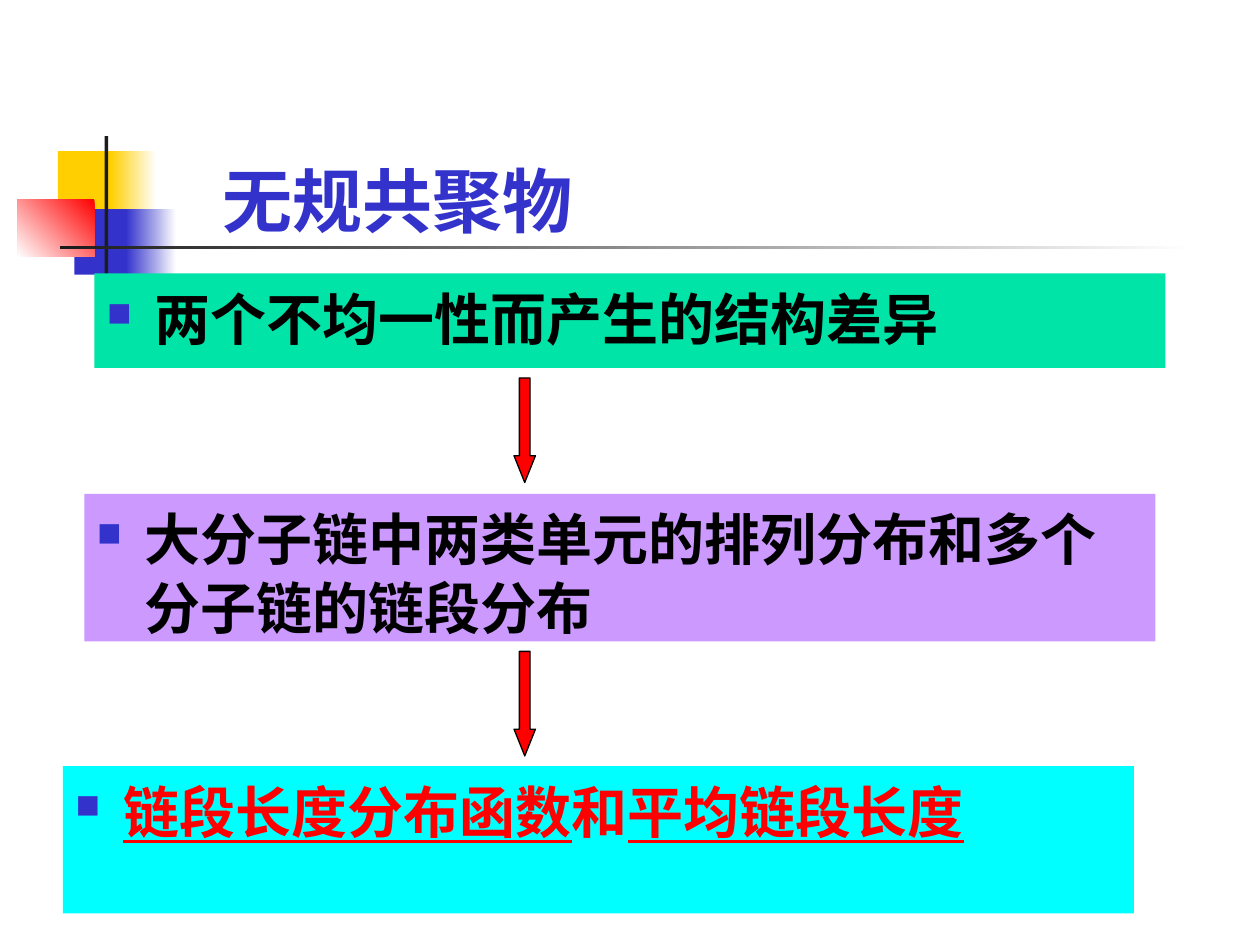
"""Build the slide on random copolymers: three statements linked by arrows."""
from lxml import etree
from pptx import Presentation
from pptx.dml.color import RGBColor
from pptx.enum import shapes, text
from pptx.oxml import ns
from pptx.util import Inches, Pt

WHITE = RGBColor(0xFF, 0xFF, 0xFF)
BLACK = RGBColor(0x00, 0x00, 0x00)
CHARCOAL = RGBColor(0x1C, 0x1C, 0x1C)
YELLOW = RGBColor(0xFF, 0xCF, 0x01)
BLUE = RGBColor(0x33, 0x33, 0xCC)
RED = RGBColor(0xFF, 0x00, 0x00)
GREEN = RGBColor(0x00, 0xE4, 0xA8)
PURPLE = RGBColor(0xCC, 0x99, 0xFF)
CYAN = RGBColor(0x00, 0xFF, 0xFF)
CJK_FONT = "Noto Sans CJK SC"

presentation = Presentation()
presentation.slide_width = Inches(10)
presentation.slide_height = Inches(7.5)
slide = presentation.slides.add_slide(presentation.slide_layouts[6])


def add_block(kind, box, colors, angle=180):
    shape = slide.shapes.add_shape(kind, *map(Inches, box))
    shape.shadow.inherit = False
    shape.line.fill.background()
    if len(colors) == 1:
        shape.fill.solid()
        shape.fill.fore_color.rgb = colors[0]
    else:
        shape.fill.gradient()
        shape.fill.gradient_angle = angle
        for stop, color in zip(shape.fill.gradient_stops, colors):
            stop.color.rgb = color
    return shape


def add_run(paragraph, content, formats):
    run = paragraph.add_run()
    run.text = content
    for name, value in formats.items():
        setattr(run.font, name, value)
    run.font.color.rgb = formats_color[paragraph_kind]
    etree.SubElement(run.font._element, ns.qn("a:ea"), typeface=CJK_FONT)


formats_color = {"title": BLUE, "statement": BLACK, "result": RED}
RECTANGLE = shapes.MSO_SHAPE.RECTANGLE
decorations = [
    ((0.46, 1.2, 0.48, 0.52), [YELLOW], 0),
    ((0.88, 1.2, 0.36, 0.52), [WHITE, YELLOW], 180),
    ((0.59, 1.66, 0.46, 0.52), [BLUE], 0),
    ((1, 1.66, 0.4, 0.52), [WHITE, BLUE], 180),
    ((0.14, 1.58, 0.61, 0.46), [RED, WHITE], 225),
    ((0.83, 1.08, 0.03, 1.15), [CHARCOAL], 0),
    ((0.48, 1.95, 9, 0.03), [WHITE, CHARCOAL], 180),
]
for box, colors, angle in decorations:
    add_block(RECTANGLE, box, colors, angle)

title = slide.shapes.add_textbox(*map(Inches, (1.67, 0.67, 5.08, 1.25)))
title.text_frame.word_wrap = True
title.text_frame.vertical_anchor = text.MSO_ANCHOR.BOTTOM
title.text_frame.margin_bottom = 0
paragraph_kind = "title"
add_run(title.text_frame.paragraphs[0], "无规共聚物",
        {"size": Pt(40), "name": "Times New Roman", "bold": True})

statements = [
    ((0.75, 2.17, 8.5, 0.75), GREEN, "statement", "Karla",
     [("两个不均一性而产生的结构差异", False)]),
    ((0.67, 3.92, 8.5, 1.17), PURPLE, "statement", "Karla",
     [("大分子链中两类单元的排列分布和多个分子链的链段分布", False)]),
    ((0.5, 6.08, 8.5, 1.17), CYAN, "result", CJK_FONT,
     [("链段长度分布函数", True), ("和", False), ("平均链段长度", True)]),
]
for box, color, paragraph_kind, font_name, runs in statements:
    frame = add_block(RECTANGLE, box, [color]).text_frame
    frame.word_wrap = True
    frame.vertical_anchor = text.MSO_ANCHOR.TOP
    frame.margin_top = Inches(0.08)
    paragraph = frame.paragraphs[0]
    paragraph.alignment = text.PP_ALIGN.LEFT
    paragraph.line_spacing = Pt(39)
    properties = paragraph._p.get_or_add_pPr()
    properties.set("marL", str(Inches(0.38)))
    properties.set("indent", str(-Inches(0.38)))
    bullet_color = etree.SubElement(properties, ns.qn("a:buClr"))
    etree.SubElement(bullet_color, ns.qn("a:srgbClr"), val=str(BLUE))
    etree.SubElement(properties, ns.qn("a:buSzPct"), val="60000")
    etree.SubElement(properties, ns.qn("a:buChar"), char="■")
    for content, underlined in runs:
        add_run(paragraph, content, {"size": Pt(32), "name": font_name,
                                     "bold": True, "underline": underlined})

for top in (3, 5.17):
    arrow = add_block(shapes.MSO_SHAPE.DOWN_ARROW, (4.08, top, 0.17, 0.83), [RED])
    arrow.adjustments[0] = 0.5
    arrow.adjustments[1] = 1.25
    arrow.line.color.rgb = BLACK
    arrow.line.width = Pt(0.75)

presentation.save("out.pptx")
